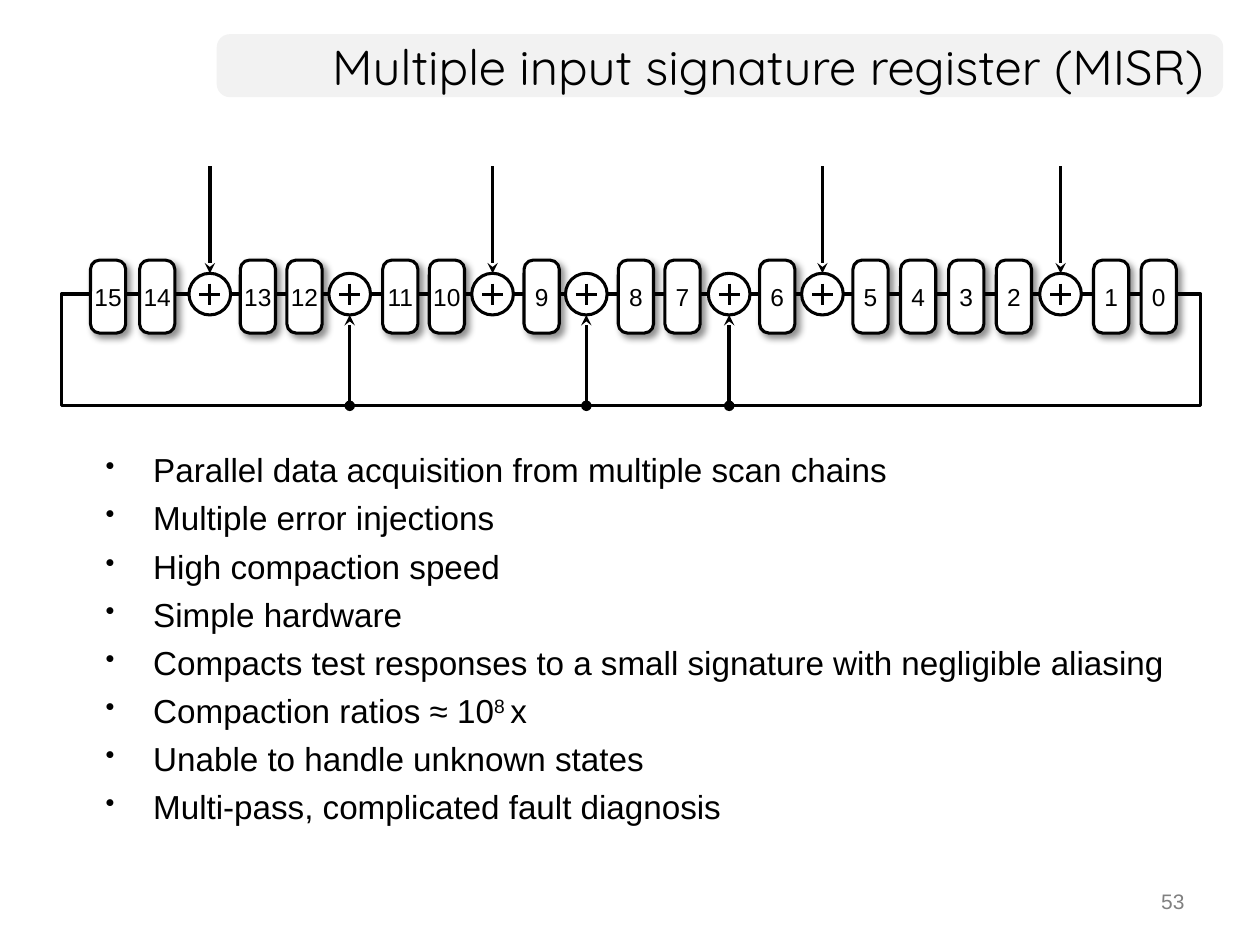
from dataclasses import dataclass

from lxml.etree import SubElement
from pptx import Presentation
from pptx.dml.color import RGBColor
from pptx.enum.shapes import MSO_CONNECTOR, MSO_SHAPE
from pptx.enum.text import MSO_ANCHOR, PP_ALIGN
from pptx.oxml.ns import qn
from pptx.util import Cm, Pt


@dataclass(frozen=True)
class Theme:
    ink: RGBColor = RGBColor(0, 0, 0)
    paper: RGBColor = RGBColor(255, 255, 255)
    band: RGBColor = RGBColor(0xF2, 0xF2, 0xF2)
    muted: RGBColor = RGBColor(0x80, 0x80, 0x80)
    heading_font: str = "Quicksand"
    text_font: str = "Arial"
    title_size: float = 28
    body_size: float = 19
    cell_size: float = 14
    number_size: float = 12
    wire: float = 2
    outline: float = 1.75


THEME = Theme()

# Register chain, left to right: label, centre in cm from the diagram's left.
# "in" is an XOR fed by an outer input, "tap" one fed by the feedback wire.
CHAIN = [
    ("15", 0.94), ("14", 1.93), ("in", 2.99), ("13", 3.96), ("12", 4.9),
    ("tap", 5.81), ("11", 6.83), ("10", 7.77), ("in", 8.69), ("9", 9.68),
    ("tap", 10.58), ("8", 11.58), ("7", 12.52), ("tap", 13.46), ("6", 14.43),
    ("in", 15.34), ("5", 16.31), ("4", 17.27), ("3", 18.24), ("2", 19.2),
    ("in", 20.14), ("1", 21.16), ("0", 22.12),
]

# Each point is a list of (text, is superscript)
POINTS = [
    [("Parallel data acquisition from multiple scan chains", False)],
    [("Multiple error injections", False)],
    [("High compaction speed", False)],
    [("Simple hardware", False)],
    [("Compacts test responses to a small signature with negligible aliasing", False)],
    [("Compaction ratios ≈ 10", False), ("8 ", True), ("x", False)],
    [("Unable to handle unknown states", False)],
    [("Multi-pass, complicated fault diagnosis", False)],
]


def style_font(para, size, color=THEME.ink, name=THEME.text_font):
    para.font.name = name
    para.font.size = Pt(size)
    para.font.color.rgb = color


def add_shape(page, kind, left, top, width, height, fill, outlined=True):
    shape = page.shapes.add_shape(kind, Cm(left), Cm(top), Cm(width), Cm(height))
    shape.shadow.inherit = False
    shape.fill.solid()
    shape.fill.fore_color.rgb = fill
    if outlined:
        shape.line.color.rgb = THEME.ink
        shape.line.width = Pt(THEME.outline)
    else:
        shape.line.fill.background()
    return shape


def add_line(page, start, end, width, head=None, tail=None):
    line = page.shapes.add_connector(
        MSO_CONNECTOR.STRAIGHT, *(Cm(value) for value in (*start, *end)))
    line.line.color.rgb = THEME.ink
    line.line.width = Pt(width)
    properties = line.line._get_or_add_ln()
    for tag, kind in (("a:headEnd", head), ("a:tailEnd", tail)):
        if kind:
            SubElement(properties, qn(tag), type=kind)
    SubElement(line._element.spPr, qn("a:effectLst"))


def add_text_box(page, left, top, width, height):
    box = page.shapes.add_textbox(Cm(left), Cm(top), Cm(width), Cm(height))
    box.text_frame.word_wrap = True
    return box.text_frame


def add_title(page, left, top, width, height):
    band = add_shape(page, MSO_SHAPE.ROUNDED_RECTANGLE, left, top, width, height,
                     THEME.band, outlined=False)
    band.adjustments[0] = 0.21
    frame = add_text_box(page, left, top, width - 0.15, height)
    frame.vertical_anchor = MSO_ANCHOR.MIDDLE
    para = frame.paragraphs[0]
    para.text = "Multiple input signature register (MISR)"
    para.alignment = PP_ALIGN.RIGHT
    style_font(para, THEME.title_size, name=THEME.heading_font)


def add_feedback_wire(page, left, right, row, bus):
    """Runs through the row, then loops back under it to the first cell."""
    first = left + CHAIN[0][1]
    points = [(first, row), (right, row), (right, bus), (left, bus),
              (left, row), (first - 0.25, row)]
    corners = [(Cm(x), Cm(y)) for x, y in points]
    builder = page.shapes.build_freeform(*corners[0])
    builder.add_line_segments(corners[1:], close=False)
    wire = builder.convert_to_shape()
    wire.shadow.inherit = False
    wire.fill.background()
    wire.line.color.rgb = THEME.ink
    wire.line.width = Pt(THEME.wire)


def add_xor(page, x, y, radius):
    add_shape(page, MSO_SHAPE.OVAL, x - radius, y - radius, 2 * radius, 2 * radius,
              THEME.paper)
    arm = radius / 2
    add_line(page, (x, y - arm), (x, y + arm), THEME.outline)
    add_line(page, (x - arm, y), (x + arm, y), THEME.outline)


def add_cell(page, x, y, label):
    width, height = 0.71, 1.47
    cell = add_shape(page, MSO_SHAPE.ROUNDED_RECTANGLE, x - width / 2, y - height / 2,
                     width, height, THEME.paper)
    cell.adjustments[0] = 0.26
    # Soft shadow towards the lower right
    effects = cell._element.spPr.find(qn("a:effectLst"))
    shadow = SubElement(effects, qn("a:outerShdw"), blurRad=str(Pt(4)),
                        dist=str(Pt(3)), dir="2700000", algn="tl", rotWithShape="0")
    color = SubElement(shadow, qn("a:srgbClr"), val=str(THEME.ink))
    SubElement(color, qn("a:alpha"), val="43000")
    # Label
    frame = cell.text_frame
    frame.word_wrap = False
    frame.margin_left = frame.margin_right = frame.margin_top = frame.margin_bottom = 0
    frame.vertical_anchor = MSO_ANCHOR.MIDDLE
    para = frame.paragraphs[0]
    para.text = label
    para.alignment = PP_ALIGN.CENTER
    style_font(para, THEME.cell_size)


def add_register(page, left, top, width, height):
    row, bus, radius = top + 2.58, top + height, 0.42
    add_feedback_wire(page, left, left + width, row, bus)
    for label, offset in CHAIN:
        x = left + offset
        if label == "in":
            add_xor(page, x, row, radius)
            add_line(page, (x, top), (x, row - radius), THEME.wire, tail="stealth")
        elif label == "tap":
            add_xor(page, x, row, radius)
            add_line(page, (x, bus), (x, row + radius), THEME.wire, "oval", "stealth")
        else:
            add_cell(page, x, row + 0.05, label)


def add_points(page, left, top, width, height):
    frame = add_text_box(page, left, top, width, height)
    for index, parts in enumerate(POINTS):
        para = frame.add_paragraph() if index else frame.paragraphs[0]
        properties = para._p.get_or_add_pPr()
        properties.set("marL", str(Cm(0.96)))
        properties.set("indent", str(-Cm(0.96)))
        SubElement(properties, qn("a:buSzPct"), val="80000")
        SubElement(properties, qn("a:buChar"), char="•")
        if index:
            para.space_before = Pt(4.7)
        style_font(para, THEME.body_size)
        for text, raised in parts:
            span = para.add_run()
            span.text = text
            if raised:
                span._r.get_or_add_rPr().set("baseline", "30000")


def add_page_number(page, left, top, width, height):
    para = add_text_box(page, left, top, width, height).paragraphs[0]
    para.text = "53"
    para.alignment = PP_ALIGN.RIGHT
    style_font(para, THEME.number_size, THEME.muted)


def main():
    deck = Presentation()
    deck.slide_width, deck.slide_height = Cm(25.4), Cm(19.05)
    page = deck.slides.add_slide(deck.slide_layouts[6])
    add_title(page, 4.37, 0.69, 20.29, 1.27)
    add_register(page, 1.24, 3.35, 22.96, 4.83)
    add_points(page, 1.88, 8.94, 22.33, 8.2)
    add_page_number(page, 18.21, 17.78, 5.92, 0.89)
    deck.save("out.pptx")


if __name__ == "__main__":
    main()
